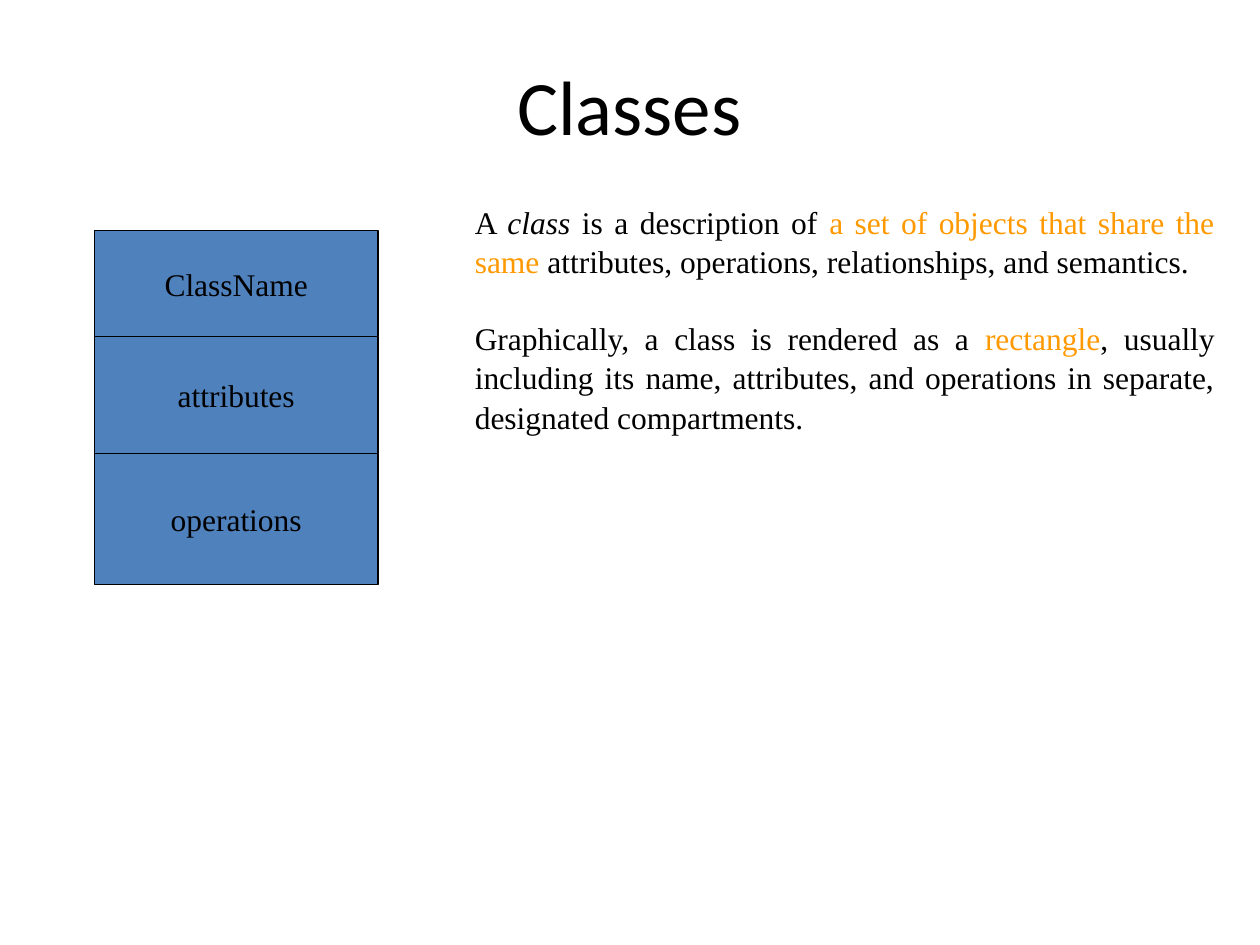
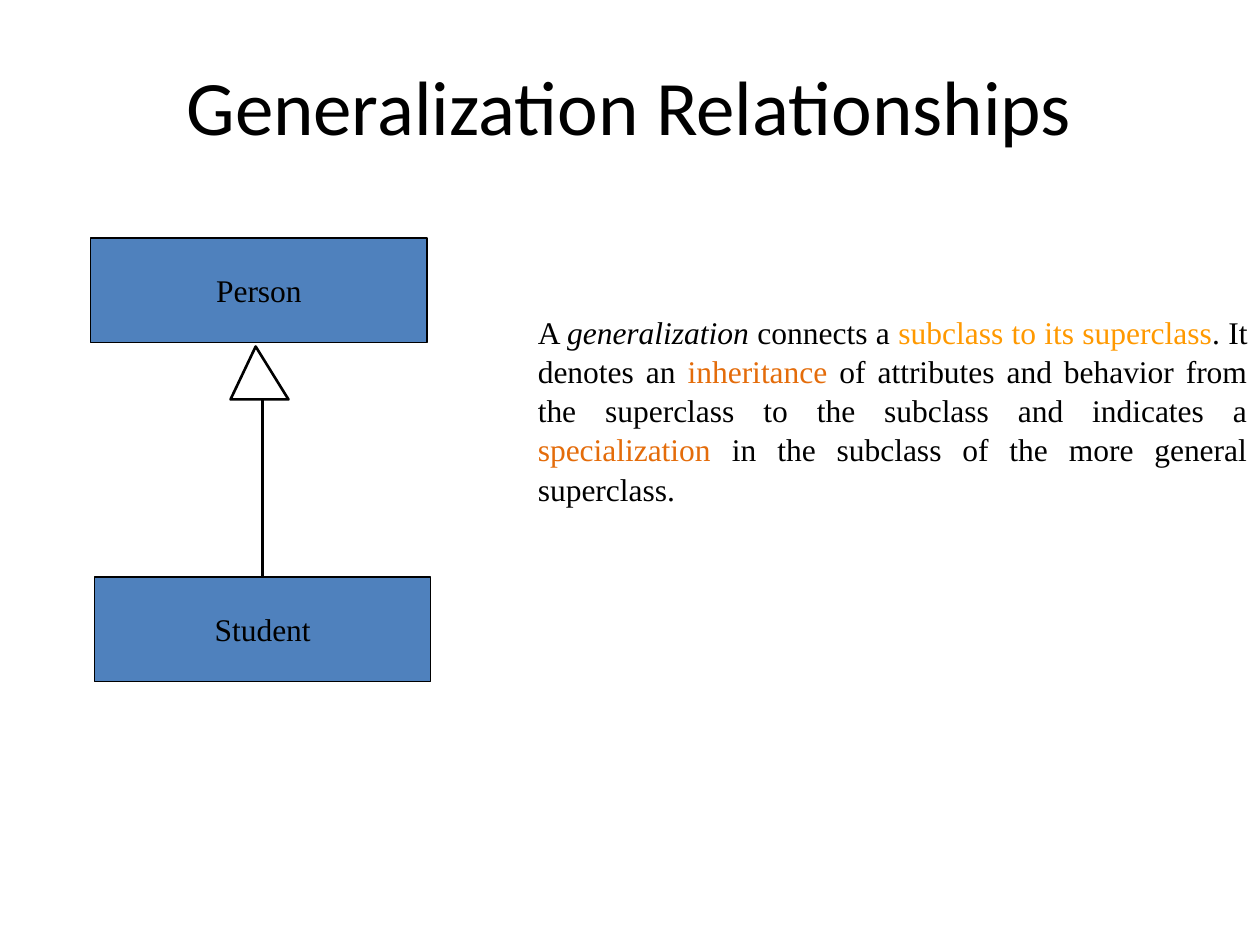
from lxml import etree
from pptx import Presentation
from pptx import util as u
from pptx.dml.color import RGBColor
from pptx.enum import shapes, text
from pptx.oxml.ns import qn

BLACK = RGBColor(0x00, 0x00, 0x00)
WHITE = RGBColor(0xFF, 0xFF, 0xFF)
BLUE = RGBColor(0x4F, 0x81, 0xBD)
AMBER = RGBColor(0xFF, 0x99, 0x00)
ORANGE = RGBColor(0xE4, 0x6C, 0x0A)
TITLE_FONT = "Calibri"
BODY_FONT = "Times New Roman"
BODY_SIZE = 18
LINE_SPACING = 1.04
PARAGRAPH_GAP = 21.5


def add_span(para, words, font=BODY_FONT, size=BODY_SIZE, color=BLACK, italic=None):
    span = para.add_run()
    span.text = words
    span.font.name = font
    span.font.size = u.Pt(size)
    span.font.color.rgb = color
    span.font.italic = italic


class Deck:
    def __init__(self):
        self.deck = Presentation()
        self.deck.slide_width = u.Inches(10)
        self.deck.slide_height = u.Inches(7.5)
        self.page = None

    def add_page(self, heading):
        self.page = self.deck.slides.add_slide(self.deck.slide_layouts[5])
        title = self.page.shapes.title
        title.left, title.top = u.Inches(0.73), u.Inches(0.33)
        title.width, title.height = u.Inches(8.53), u.Inches(1)
        title.text_frame.vertical_anchor = text.MSO_ANCHOR.MIDDLE
        para = title.text_frame.paragraphs[0]
        para.alignment = text.PP_ALIGN.CENTER
        add_span(para, heading, font=TITLE_FONT, size=44)

    def paint(self, shape, fill, line_width):
        shape.shadow.inherit = False
        shape.fill.solid()
        shape.fill.fore_color.rgb = fill
        shape.line.color.rgb = BLACK
        shape.line.width = u.Pt(line_width)

    def add_class_box(self, label, left, top, width, height):
        box = self.page.shapes.add_shape(
            shapes.MSO_SHAPE.RECTANGLE,
            u.Inches(left), u.Inches(top), u.Inches(width), u.Inches(height))
        self.paint(box, BLUE, 0.75)
        box.text_frame.word_wrap = False
        box.text_frame.vertical_anchor = text.MSO_ANCHOR.MIDDLE
        para = box.text_frame.paragraphs[0]
        para.alignment = text.PP_ALIGN.CENTER
        add_span(para, label)
        return box

    def add_description(self, paragraphs, left, top, width, height):
        box = self.page.shapes.add_textbox(
            u.Inches(left), u.Inches(top), u.Inches(width), u.Inches(height))
        frame = box.text_frame
        frame.word_wrap = True
        for index, spans in enumerate(paragraphs):
            para = frame.add_paragraph() if index else frame.paragraphs[0]
            para.alignment = text.PP_ALIGN.JUSTIFY
            para.line_spacing = LINE_SPACING
            if index:
                para.space_before = u.Pt(PARAGRAPH_GAP)
            for words, style in spans:
                add_span(para, words, **style)

    def add_generalization(self, subclass, apex, base_left, base_right):
        middle = subclass.left + subclass.width // 2
        line = self.page.shapes.add_connector(
            shapes.MSO_CONNECTOR.STRAIGHT,
            middle, u.Inches(base_left[1]), middle, subclass.top)
        line.end_connect(subclass, 0)
        line.line.color.rgb = BLACK
        line.line.width = u.Pt(1.5)
        etree.SubElement(line._element.spPr, qn("a:effectLst"))

        corners = [(u.Inches(x), u.Inches(y)) for x, y in (apex, base_left, base_right)]
        builder = self.page.shapes.build_freeform(*corners[0])
        builder.add_line_segments(corners[1:], close=True)
        self.paint(builder.convert_to_shape(), WHITE, 1.5)


def build_classes(deck):
    deck.add_page("Classes")
    top = 1.83
    for label, height in (("ClassName", 0.84), ("attributes", 0.93), ("operations", 1.04)):
        deck.add_class_box(label, 0.75, top, 2.25, height)
        top += height
    deck.add_description([
        [("A ", {}),
         ("class", {"italic": True}),
         (" is a description of ", {}),
         ("a set of objects that share the same ", {"color": AMBER}),
         ("attributes, operations, relationships, and semantics.", {})],
        [("Graphically, a class is rendered as a ", {}),
         ("rectangle", {"color": AMBER}),
         (", usually including its name, attributes, and operations in separate, "
          "designated compartments.", {})],
    ], 3.67, 1.55, 6.07, 1.9)


def build_generalization(deck):
    deck.add_page("Generalization Relationships")
    deck.add_class_box("Person", 0.72, 1.89, 2.67, 0.83)
    student = deck.add_class_box("Student", 0.75, 4.58, 2.67, 0.83)
    deck.add_generalization(student, (2.03, 2.75), (1.83, 3.17), (2.29, 3.17))
    deck.add_description([
        [("A ", {}),
         ("generalization", {"italic": True}),
         (" connects a ", {}),
         ("subclass to its superclass", {"color": AMBER}),
         (". It denotes an ", {}),
         ("inheritance", {"color": ORANGE}),
         (" of attributes and behavior from the superclass to the subclass "
          "and indicates a ", {}),
         ("specialization", {"color": ORANGE}),
         (" in the subclass of the more general superclass.", {})],
    ], 4.17, 2.42, 5.83, 1.6)


def main():
    deck = Deck()
    build_classes(deck)
    build_generalization(deck)
    deck.deck.save("out.pptx")


if __name__ == "__main__":
    main()
